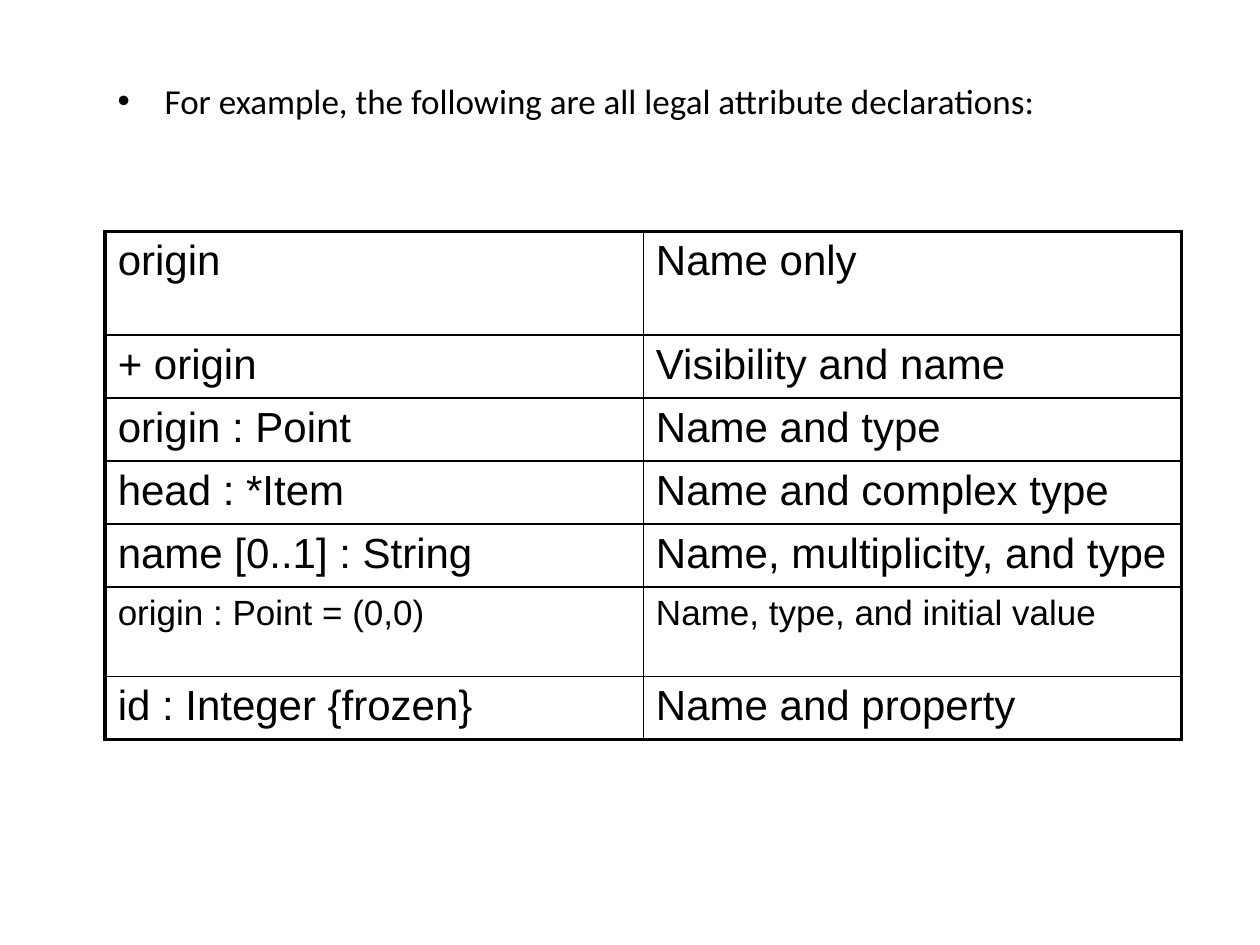
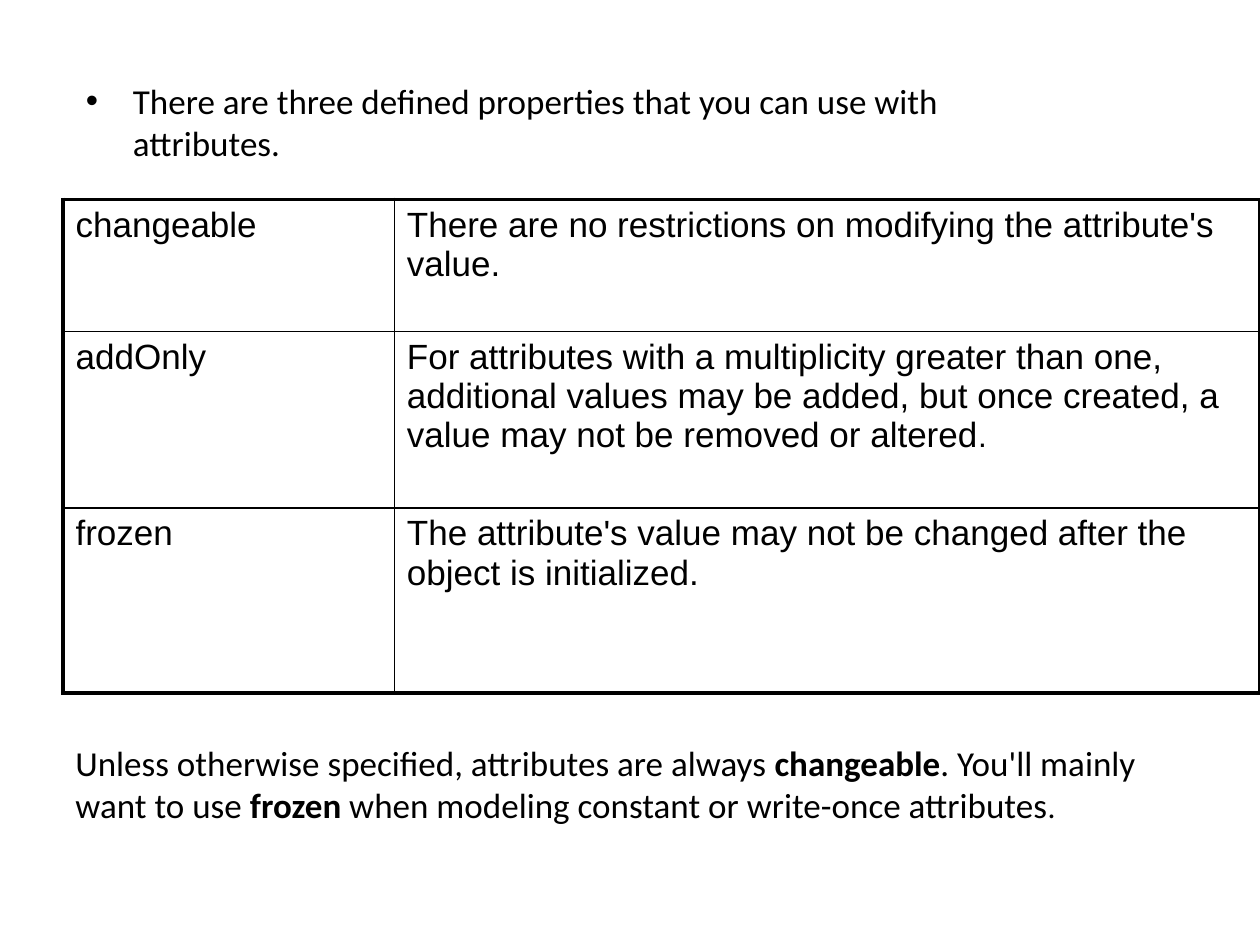
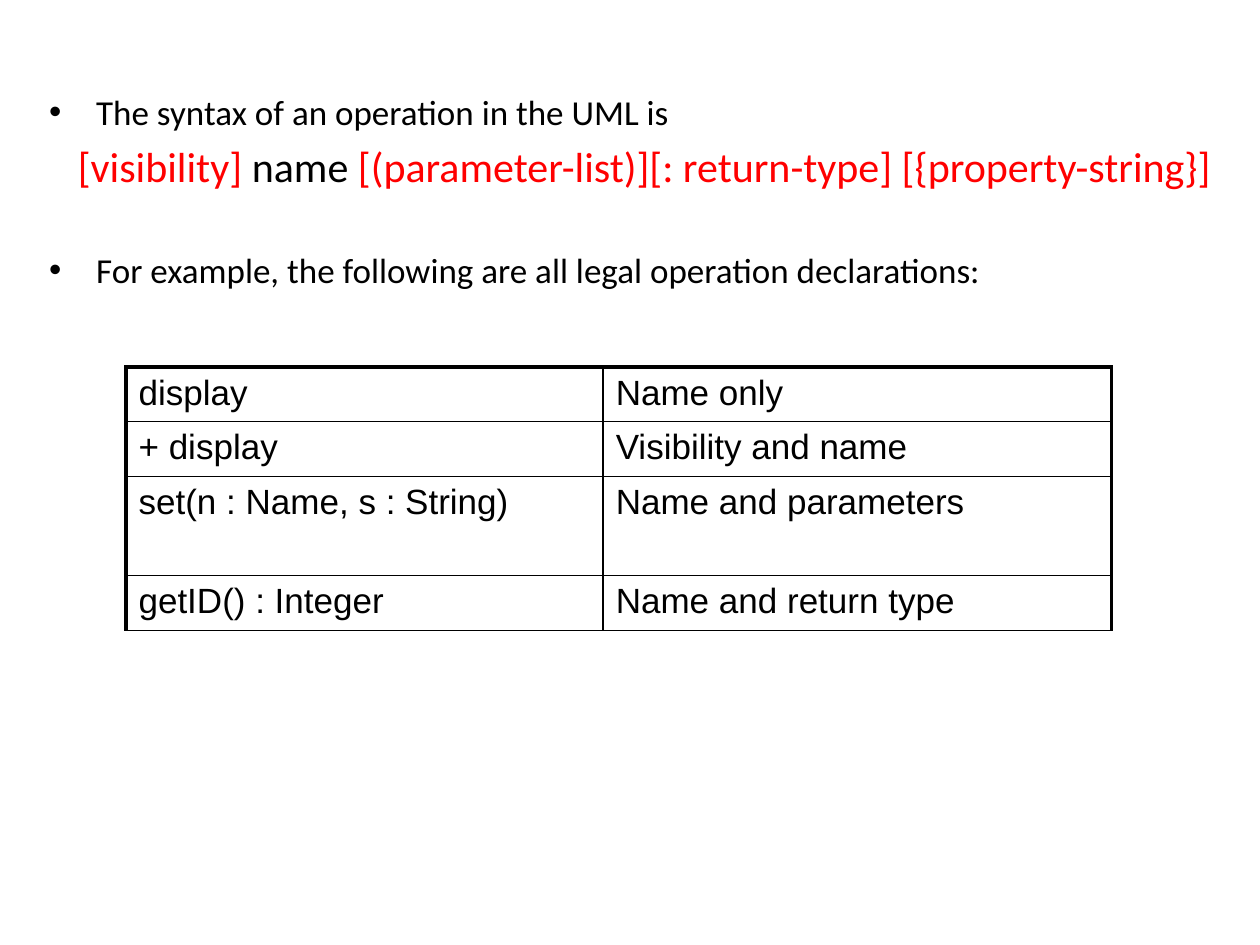
from lxml import etree
from pptx import Presentation
from pptx.dml.color import RGBColor
from pptx.oxml.ns import qn
from pptx.util import Cm, Pt

BLACK = RGBColor(0x00, 0x00, 0x00)
RED = RGBColor(0xFF, 0x00, 0x00)
BODY_FONT, TABLE_FONT = "Calibri", "Arial"
BODY_SIZE, LARGE_SIZE, PERIOD_SIZE = 20, 24, 18
THICK, THIN = 2.25, 1
BULLET_INDENT = Cm(0.95)

# A text is a list of runs: (words, changes to the font).
# Text boxes: position (left, top, width, height in cm) and paragraphs.
# Tables: position (left, top), columns and row heights in cm, rows of cells.
SLIDES = [
    {
        "texts": [{
            "position": (2.12, 1.48, 22.23, 14.83),
            "paragraphs": [{
                "bullet": True,
                "runs": [("For example, the following are all legal attribute declarations:", {})],
            }],
        }],
        "table": {
            "position": (2.12, 4.67),
            "columns": (10.85, 10.85),
            "heights": (2.08, 1.25, 1.25, 1.25, 1.25, 1.8, 1.25),
            "size": LARGE_SIZE,
            "row_sizes": {5: BODY_SIZE},
            "bottom": THICK,
            "rows": [
                ("origin", "Name only"),
                ("+ origin", "Visibility and name"),
                ("origin : Point", "Name and type"),
                ("head : *Item", "Name and complex type"),
                ("name [0..1] : String", "Name, multiplicity, and type"),
                ("origin : Point = (0,0)", "Name, type, and initial value"),
                ("id : Integer {frozen}", "Name and property"),
            ],
        },
    },
    {
        "texts": [
            {
                "position": (1.48, 1.48, 18.95, 12.5),
                "paragraphs": [{
                    "bullet": True,
                    "runs": [("There are three defined properties that you can use with attributes.", {})],
                }],
            },
            {
                "position": (1.27, 14.83, 23.29, 2.82),
                "paragraphs": [{
                    "runs": [
                        ("Unless otherwise specified, attributes are always ", {}),
                        ("changeable", {"bold": True}),
                        (". You'll mainly want to use ", {}),
                        ("frozen", {"bold": True}),
                        (" when modeling constant or write-once attributes", {}),
                        (".", {"size": Pt(PERIOD_SIZE)}),
                    ],
                }],
            },
        ],
        "table": {
            "position": (1.27, 4.02),
            "columns": (6.68, 17.45),
            "heights": (2.66, 3.56, 3.73),
            "size": BODY_SIZE,
            "bottom": THICK,
            "rows": [
                ("changeable", "There are no restrictions on modifying the attribute's value."),
                ("addOnly", [
                    ("For attributes with a multiplicity greater than one, additional values "
                     "may be added, but once created, a value may not be removed or altered", {}),
                    (".", {"size": Pt(PERIOD_SIZE)}),
                ]),
                ("frozen", "The attribute's value may not be changed after the object is initialized."),
            ],
        },
    },
    {
        "texts": [{
            "position": (0.74, 1.7, 24.66, 15.24),
            "paragraphs": [
                {"bullet": True, "runs": [("The syntax of an operation in the UML is", {})]},
                {
                    "size": LARGE_SIZE,
                    "left": 0.58,
                    "before": 4.5,
                    "runs": [
                        ("[visibility]", {"color": RED}),
                        (" name ", {}),
                        ("[(parameter-list)][: return-type] [{property-string}]", {"color": RED}),
                    ],
                },
                {
                    "bullet": True,
                    "before": 33,
                    "runs": [("For example, the following are all legal operation declarations:", {})],
                },
            ],
        }],
        "table": {
            "position": (2.54, 7.4),
            "columns": (9.62, 10.25),
            "heights": (1.04, 1.04, 2, 1.04),
            "size": BODY_SIZE,
            "bottom": THIN,
            "rows": [
                ("display", "Name only"),
                ("+ display", "Visibility and name"),
                ("set(n : Name, s : String)", "Name and parameters"),
                ("getID() : Integer", "Name and return type"),
            ],
        },
    },
]


def write_runs(paragraph, runs, font_name, size):
    font = paragraph.font
    font.name, font.size = font_name, Pt(size)
    font.color.rgb = BLACK
    for words, changes in runs:
        run = paragraph.add_run()
        run.text = words
        for name, value in changes.items():
            if name == "color":
                run.font.color.rgb = value
            else:
                setattr(run.font, name, value)


def set_indent(paragraph, left, bullet):
    properties = paragraph._p.get_or_add_pPr()
    properties.set("marL", str(int(left)))
    properties.set("indent", str(-int(left) if bullet else 0))
    if bullet:
        etree.SubElement(properties, qn("a:buFont"), typeface="Arial")
        etree.SubElement(properties, qn("a:buChar"), char="•")


def add_text(slide, position, paragraphs):
    frame = slide.shapes.add_textbox(*map(Cm, position)).text_frame
    frame.word_wrap = True
    for index, content in enumerate(paragraphs):
        paragraph = frame.add_paragraph() if index else frame.paragraphs[0]
        bullet = content.get("bullet", False)
        paragraph.space_before = Pt(content.get("before", 0))
        set_indent(paragraph, BULLET_INDENT if bullet else Cm(content.get("left", 0)), bullet)
        write_runs(paragraph, content["runs"], BODY_FONT, content.get("size", BODY_SIZE))


def set_borders(cell, widths):
    """Draw the cell's borders; widths are left, right, top, bottom in points."""
    properties = cell._tc.get_or_add_tcPr()
    for side, width in zip("LRTB", widths):
        line = etree.SubElement(properties, qn(f"a:ln{side}"), w=str(int(Pt(width))))
        fill = etree.SubElement(line, qn("a:solidFill"))
        etree.SubElement(fill, qn("a:srgbClr"), val=str(BLACK))


def add_table(slide, content):
    rows, columns, heights = content["rows"], content["columns"], content["heights"]
    left, top = content["position"]
    table = slide.shapes.add_table(
        len(rows), len(columns), Cm(left), Cm(top), Cm(sum(columns)), Cm(sum(heights))
    ).table
    table.first_row = table.horz_banding = False
    for column, width in zip(table.columns, columns):
        column.width = Cm(width)
    for row, height in zip(table.rows, heights):
        row.height = Cm(height)
    last_row, last_column = len(rows) - 1, len(columns) - 1
    for row_index, row in enumerate(rows):
        size = content.get("row_sizes", {}).get(row_index, content["size"])
        for column_index, words in enumerate(row):
            cell = table.cell(row_index, column_index)
            runs = [(words, {})] if isinstance(words, str) else words
            write_runs(cell.text_frame.paragraphs[0], runs, TABLE_FONT, size)
            set_borders(cell, (
                THICK if column_index == 0 else THIN,
                THICK if column_index == last_column else THIN,
                THICK if row_index == 0 else THIN,
                content["bottom"] if row_index == last_row else THIN,
            ))
            cell.fill.background()


def main():
    presentation = Presentation()
    presentation.slide_width, presentation.slide_height = Cm(25.4), Cm(19.05)
    blank_layout = presentation.slide_layouts[6]
    for content in SLIDES:
        slide = presentation.slides.add_slide(blank_layout)
        for text in content["texts"]:
            add_text(slide, text["position"], text["paragraphs"])
        add_table(slide, content["table"])
    presentation.save("out.pptx")


if __name__ == "__main__":
    main()
